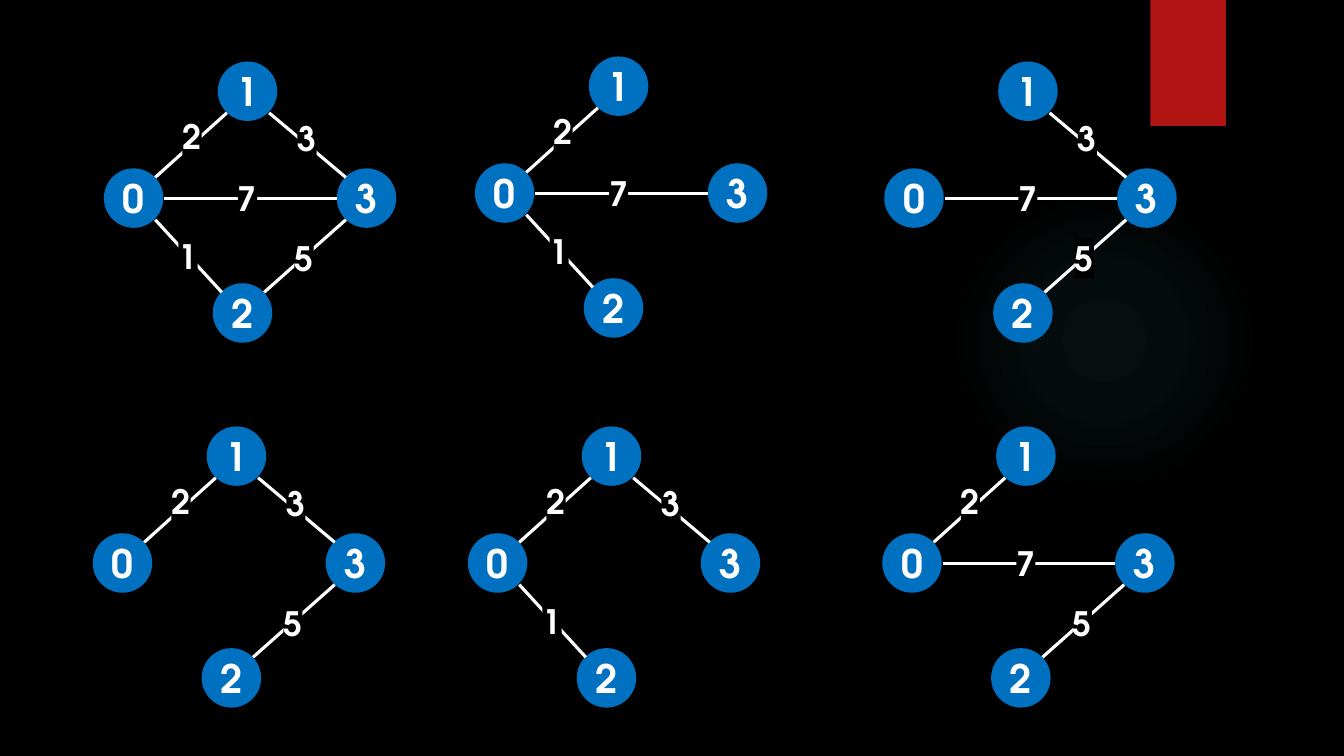
"""Draw a weighted graph and five of its spanning trees."""
from typing import NamedTuple

from lxml import etree
from pptx import Presentation
from pptx.dml.color import RGBColor
from pptx.enum.shapes import MSO_CONNECTOR, MSO_SHAPE
from pptx.enum.text import MSO_ANCHOR, MSO_AUTO_SIZE, PP_ALIGN
from pptx.oxml import parse_xml
from pptx.oxml.ns import nsdecls, qn
from pptx.shapes.autoshape import Shape
from pptx.shapes.shapetree import GroupShapes, SlideShapes
from pptx.util import Pt

OVAL, RECT = MSO_SHAPE.OVAL, MSO_SHAPE.RECTANGLE
LINE = MSO_CONNECTOR.STRAIGHT
MIDDLE = MSO_ANCHOR.MIDDLE
LEFT, CENTER = PP_ALIGN.LEFT, PP_ALIGN.CENTER
FIT = MSO_AUTO_SIZE.SHAPE_TO_FIT_TEXT

SCALE = 9144
FONT = "TeX Gyre Adventor"
COLORS = {"back": "000000", "text": "FFFFFF", "node": "0070C0",
          "tab": "B01513", "glow": "50B9C1"}
SIZE, HALF, SLANT = 59, 30, 21
TAG_W, TAG_H = 19, 40


class Point(NamedTuple):
    x: int
    y: int


class Edge(NamedTuple):
    start: int
    end: int
    tag: Point


class Graph(NamedTuple):
    x: int
    y: int
    weights: tuple[int, ...]


NODES = {1: Point(113, 0), 2: Point(108, 220),
         0: Point(0, 106), 3: Point(231, 106)}
EDGES = {2: Edge(1, 0, Point(78, 54)), 3: Edge(1, 3, Point(192, 56)),
         7: Edge(3, 0, Point(133, 116)), 1: Edge(2, 0, Point(74, 173)),
         5: Edge(2, 3, Point(189, 175))}
GRAPHS = [Graph(103, 61, (2, 3, 7, 1, 5)), Graph(471, 56, (2, 7, 1)),
          Graph(877, 61, (3, 7, 5)), Graph(92, 423, (2, 3, 5)),
          Graph(464, 423, (2, 3, 1)), Graph(875, 423, (2, 7, 5))]


def px(*nums: int) -> list[int]:
    return [num * SCALE for num in nums]


def tint(name: str) -> RGBColor:
    return RGBColor.from_string(COLORS[name])


def write(shape: Shape, text: str, size: int, align: PP_ALIGN) -> None:
    frame = shape.text_frame
    frame.text = text
    frame.word_wrap = False
    para = frame.paragraphs[0]
    para.alignment = align
    font = para.runs[0].font
    font.name, font.size, font.bold = FONT, Pt(size), True
    font.color.rgb = tint("text")


def block(shapes: SlideShapes | GroupShapes, kind: MSO_SHAPE,
          box: tuple[int, ...], color: str) -> Shape:
    shape = shapes.add_shape(kind, *px(*box))
    shape.shadow.inherit = False
    shape.fill.solid()
    shape.fill.fore_color.rgb = tint(color)
    shape.line.fill.background()
    return shape


def glow(shapes: SlideShapes) -> None:
    shape = block(shapes, OVAL, (941, 183, 308, 308), "glow")
    stops = "".join(
        f'<a:gs pos="{pos}000"><a:srgbClr val="{COLORS["glow"]}">'
        f'<a:alpha val="{alpha}000"/></a:srgbClr></a:gs>'
        for pos, alpha in ((0, 7), (36, 6), (69, 0), (100, 0)))
    grad = parse_xml(
        f'<a:gradFill {nsdecls("a")}><a:gsLst>{stops}</a:gsLst>'
        '<a:path path="circle"><a:fillToRect l="50000" t="50000" '
        'r="50000" b="50000"/></a:path></a:gradFill>')
    props = shape.element.spPr
    props.replace(props.find(qn("a:solidFill")), grad)


def sign(num: int) -> int:
    return (num > 0) - (num < 0)


def link(shapes: GroupShapes, graph: Graph, edge: Edge) -> None:
    one, two = NODES[edge.start], NODES[edge.end]
    step_x, step_y = sign(two.x - one.x), sign(two.y - one.y)
    reach = SLANT if step_y else HALF
    mid_x, mid_y = graph.x + HALF, graph.y + HALF
    line = shapes.add_connector(LINE, *px(
        mid_x + one.x + step_x * reach, mid_y + one.y + step_y * reach,
        mid_x + two.x - step_x * reach, mid_y + two.y - step_y * reach))
    line.line.color.rgb = tint("text")
    line.line.width = Pt(2.25)
    etree.SubElement(line.element.spPr, qn("a:effectLst"))


def label(shapes: GroupShapes, graph: Graph, weight: int) -> None:
    spot = EDGES[weight].tag
    tag = block(shapes, RECT, (graph.x + spot.x, graph.y + spot.y,
                               TAG_W, TAG_H), "back")
    write(tag, str(weight), 24, LEFT)
    frame = tag.text_frame
    frame.margin_left = frame.margin_right = 0
    frame.margin_top = frame.margin_bottom = 0
    frame.auto_size = FIT


def draw(shapes: SlideShapes, graph: Graph) -> None:
    group = shapes.add_group_shape().shapes
    for name, spot in NODES.items():
        node = block(group, OVAL, (graph.x + spot.x, graph.y + spot.y,
                                   SIZE, SIZE), "node")
        write(node, str(name), 28, CENTER)
        node.text_frame.vertical_anchor = MIDDLE
    for weight in graph.weights:
        link(group, graph, EDGES[weight])
    for weight in graph.weights:
        label(group, graph, weight)


def main() -> None:
    deck = Presentation()
    deck.slide_width, deck.slide_height = px(1333, 750)
    slide = deck.slides.add_slide(deck.slide_layouts[6])
    slide.background.fill.solid()
    slide.background.fill.fore_color.rgb = tint("back")
    glow(slide.shapes)
    block(slide.shapes, RECT, (1141, 0, 75, 125), "tab")
    for graph in GRAPHS:
        draw(slide.shapes, graph)
    deck.save("out.pptx")


if __name__ == "__main__":
    main()
